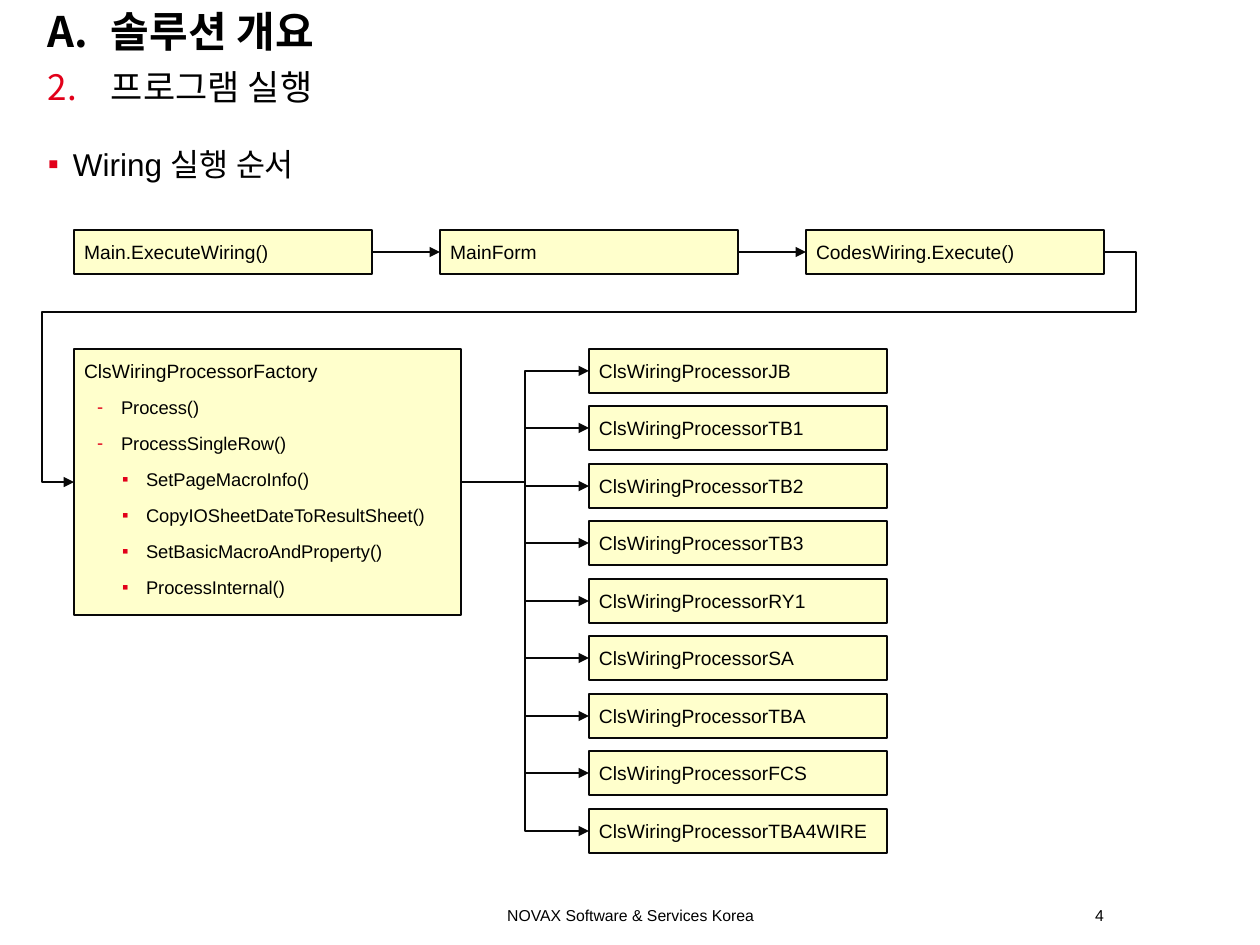
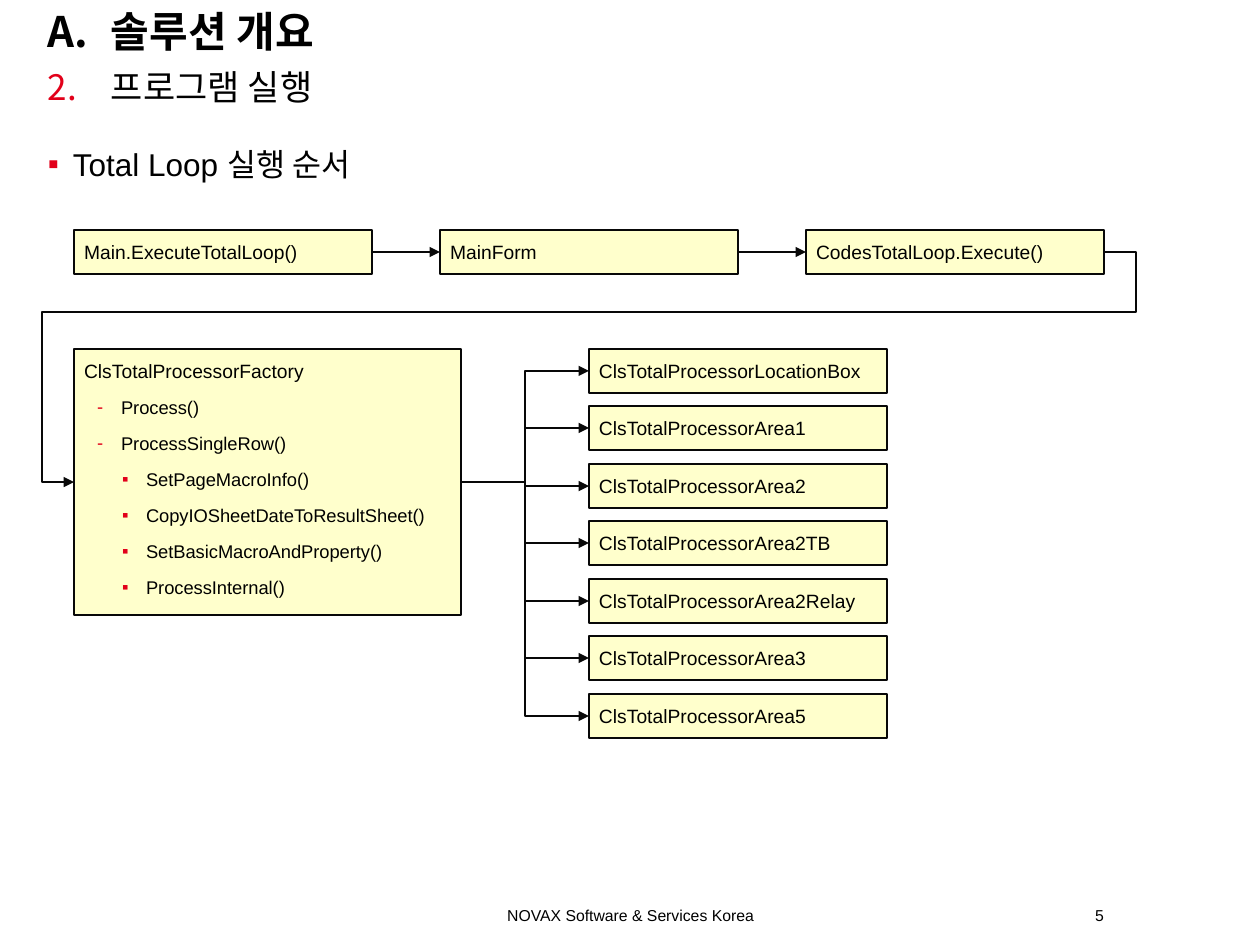
import dataclasses

import lxml.etree
import pptx
import pptx.dml.color
import pptx.enum.shapes
import pptx.enum.text
import pptx.oxml.ns
import pptx.util

SCALE = 914400 / 126
ALIGN = pptx.enum.text.PP_ALIGN
ANCHOR = pptx.enum.text.MSO_ANCHOR
LINK = pptx.enum.shapes.MSO_CONNECTOR
RECT = pptx.enum.shapes.MSO_SHAPE.RECTANGLE


@dataclasses.dataclass(frozen=True)
class Theme:
    """Colours, font and type sizes of the deck."""
    ink: str = "000000"
    line: str = "080808"
    fill: str = "FFFFCC"
    mark: str = "E2001A"
    font: str = "Arial"
    title: float = 24
    chapter: float = 20
    topic: float = 18
    node: float = 11
    item: float = 10.5
    foot: float = 9
    gap: float = 4
    border: float = 1.5
    wire: float = 1


@dataclasses.dataclass(frozen=True)
class Box:
    """A rectangle in px."""
    x: int
    y: int
    w: int
    h: int


THEME = Theme()
PAGE = Box(0, 0, 1260, 945)
HEAD = Box(0, 0, 1211, 194)
FLOW = Box(74, 230, 1030, 623)
FOOT = Box(335, 905, 769, 20)
NODE_W, NODE_H = 298, 44
BULLET = ("buChar", {"char": "▪"})
DASH = ("buChar", {"char": "-"})
STEPS = [
    (DASH, 37, "Process()"),
    (DASH, 37, "ProcessSingleRow()"),
    (BULLET, 62, "SetPageMacroInfo()"),
    (BULLET, 62, "CopyIOSheetDateToResultSheet()"),
    (BULLET, 62, "SetBasicMacroAndProperty()"),
    (BULLET, 62, "ProcessInternal()"),
]
SLIDES = [
    ("4", "Wiring 실행 순서",
     ["Main.ExecuteWiring()", "MainForm", "CodesWiring.Execute()"],
     "ClsWiringProcessor",
     ["JB", "TB1", "TB2", "TB3", "RY1", "SA", "TBA", "FCS", "TBA4WIRE"]),
    ("5", "Total Loop 실행 순서",
     ["Main.ExecuteTotalLoop()", "MainForm", "CodesTotalLoop.Execute()"],
     "ClsTotalProcessor",
     ["LocationBox", "Area1", "Area2", "Area2TB", "Area2Relay", "Area3", "Area5"]),
]


def emu(px):
    """Turn px into EMU."""
    return pptx.util.Emu(round(px * SCALE))


def place(box):
    """Give the four EMU lengths of a box."""
    return [emu(v) for v in (box.x, box.y, box.w, box.h)]


def rgb(code):
    """Turn a hex code into a colour."""
    return pptx.dml.color.RGBColor.from_string(code)


def tag(parent, kind, **attrs):
    """Add a drawing element under a parent."""
    return lxml.etree.SubElement(parent, pptx.oxml.ns.qn("a:" + kind), attrs)


def frame(shape, left=0, top=0, right=0, bottom=0, anchor=ANCHOR.TOP):
    """Set the insets of a shape and give its text frame."""
    text = shape.text_frame
    text.word_wrap = True
    text.vertical_anchor = anchor
    text.margin_left, text.margin_top = emu(left), emu(top)
    text.margin_right, text.margin_bottom = emu(right), emu(bottom)
    return text


def write(para, words, size, bold=False, align=ALIGN.LEFT, gap=0):
    """Write one run into a paragraph."""
    para.alignment = align
    para.space_before = para.space_after = pptx.util.Pt(gap)
    run = para.add_run()
    run.text = words
    run.font.name = THEME.font
    run.font.size = pptx.util.Pt(size)
    run.font.bold = bold
    run.font.color.rgb = rgb(THEME.ink)


def mark(para, bullet, left, hang, tint):
    """Give a paragraph a hanging bullet or number."""
    props = para._p.get_or_add_pPr()
    props.set("marL", str(emu(left)))
    props.set("indent", str(-emu(hang)))
    tag(tag(props, "buClr"), "srgbClr", val=tint)
    tag(props, "buFont", typeface=THEME.font)
    kind, attrs = bullet
    tag(props, kind, **attrs)


def label(slide, box, words, size, align):
    """Place one line of footer text."""
    text = frame(slide.shapes.add_textbox(*place(box)), anchor=ANCHOR.MIDDLE)
    write(text.paragraphs[0], words, size, align=align)


def header(slide, box, topic):
    """Place title, chapter and topic lines."""
    rows = [
        (0, 59, 5, "솔루션 개요", THEME.title, True, 0, 63, THEME.ink,
         ("buAutoNum", {"type": "alphaUcPeriod"})),
        (60, 59, 5, "프로그램 실행", THEME.chapter, False, THEME.gap, 63, THEME.mark,
         ("buAutoNum", {"type": "arabicPeriod", "startAt": "2"})),
        (145, 49, 0, topic, THEME.topic, False, THEME.gap, 25, THEME.mark, BULLET),
    ]
    for top, high, inset, words, size, bold, gap, hang, tint, bullet in rows:
        area = Box(box.x, box.y + top, box.w, high)
        text = frame(slide.shapes.add_textbox(*place(area)), 48, inset)
        para = text.paragraphs[0]
        write(para, words, size, bold, gap=gap)
        mark(para, bullet, hang, hang, tint)


def footer(slide, box, number):
    """Place the footer line and the slide number."""
    label(slide, Box(box.x, box.y, 591, box.h),
          "NOVAX Software & Services Korea", THEME.foot, ALIGN.CENTER)
    label(slide, Box(box.x + box.w - 39, box.y, 39, box.h),
          number, THEME.foot, ALIGN.RIGHT)


def node(slide, box, words):
    """Place a bordered box with one line of text."""
    shape = slide.shapes.add_shape(RECT, *place(box))
    shape.shadow.inherit = False
    shape.fill.solid()
    shape.fill.fore_color.rgb = rgb(THEME.fill)
    shape.line.color.rgb = rgb(THEME.line)
    shape.line.width = pptx.util.Pt(THEME.border)
    text = frame(shape, 10, 10, 10, 10)
    write(text.paragraphs[0], words, THEME.node, gap=THEME.gap)
    return shape


def plant(slide, box, words):
    """Place the factory box with its list of calls."""
    shape = node(slide, box, words)
    for bullet, left, call in STEPS:
        para = shape.text_frame.add_paragraph()
        write(para, call, THEME.item, gap=THEME.gap)
        mark(para, bullet, left, 24, THEME.mark)
    return shape


def wire(slide, start, end, kind=LINK.ELBOW):
    """Join the right side of one box to the left side of another."""
    link = slide.shapes.add_connector(
        kind, start.left + start.width, start.top + start.height // 2,
        end.left, end.top + end.height // 2)
    link.begin_connect(start, 3)
    link.end_connect(end, 1)
    link.line.color.rgb = rgb(THEME.line)
    link.line.width = pptx.util.Pt(THEME.wire)
    tag(link.line._get_or_add_ln(), "tailEnd", type="triangle")
    tag(link.element.spPr, "effectLst")
    return link


def loop(slide, start, end, out, drop):
    """Lead a wire out, down and back round to a box on the next row."""
    link = wire(slide, start, end)
    shape = link.element.spPr.find(pptx.oxml.ns.qn("a:prstGeom"))
    shape.set("prst", "bentConnector5")
    for child in list(shape):
        shape.remove(child)
    side, down = emu(out) / link.width, emu(drop) / link.height
    guides = tag(shape, "avLst")
    for i, part in enumerate((-side, down, 1 + side), 1):
        tag(guides, "gd", name=f"adj{i}", fmla=f"val {round(part * 100000)}")


def flow(slide, box, calls, stem, ends):
    """Place the call row, the factory and its processors, then wire them."""
    step = (box.w - NODE_W) // (len(calls) - 1)
    row = [node(slide, Box(box.x + i * step, box.y, NODE_W, NODE_H), call)
           for i, call in enumerate(calls)]
    top = box.y + 119
    hub = plant(slide, Box(box.x, top, 387, 266), stem + "Factory")
    leaves = [node(slide, Box(box.x + 515, top + i * 115 // 2, NODE_W, NODE_H), stem + end)
              for i, end in enumerate(ends)]
    for start, end in zip(row, row[1:]):
        wire(slide, start, end, LINK.STRAIGHT)
    loop(slide, row[-1], hub, 32, 60)
    for leaf in leaves:
        wire(slide, hub, leaf)


def main():
    """Build and save the deck."""
    deck = pptx.Presentation()
    deck.slide_width, deck.slide_height = emu(PAGE.w), emu(PAGE.h)
    for number, topic, calls, stem, ends in SLIDES:
        slide = deck.slides.add_slide(deck.slide_layouts[6])
        header(slide, HEAD, topic)
        footer(slide, FOOT, number)
        flow(slide, FLOW, calls, stem, ends)
    deck.save("out.pptx")


if __name__ == "__main__":
    main()
